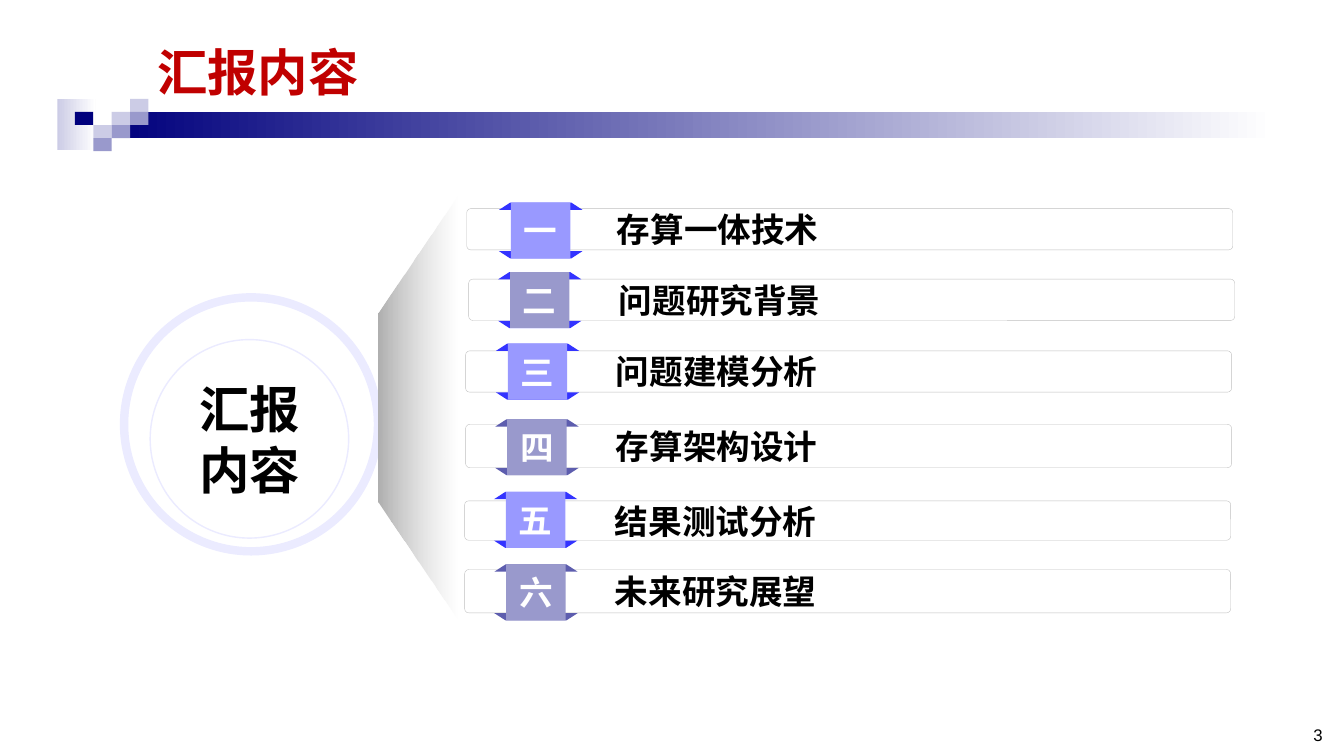
from lxml import etree
from pptx import Presentation
from pptx.dml.color import RGBColor
from pptx.enum import shapes, text
from pptx.oxml import ns
from pptx.util import Pt

SHAPE, ALIGN, ANCHOR = shapes.MSO_SHAPE, text.PP_ALIGN, text.MSO_ANCHOR
CJK = "Noto Sans CJK SC"
COLORS = {
    "navy": "00007D", "pale": "CCCCE6", "mid": "9999CC", "violet": "9999FF",
    "blue": "3333FF", "dusk": "5D5DAE", "ring": "EBEBFF", "outline": "BFBFBF",
    "gray": "B0B0B0", "light": "CFCFCF", "red": "C00000", "black": "000000",
    "white": "FFFFFF",
}
TITLE = "汇报内容"
HUB = ["汇报", "内容"]
PAGE = "3"
# number, topic, bar (left, top, height), tag (left, top), tag colour, fold colour
TOPICS = [
    ("一", "存算一体技术", (333.4, 149, 29.5), (365, 144.7), "violet", "blue"),
    ("二", "问题研究背景", (334.8, 199.4, 29.5), (364.3, 194.4), "mid", "blue"),
    ("三", "问题建模分析", (332.6, 250.6, 29.5), (362.7, 245.5), "violet", "blue"),
    ("四", "存算架构设计", (332.6, 303.1, 31), (362.3, 299.5), "mid", "dusk"),
    ("五", "结果测试分析", (331.9, 357.8, 28.1), (361.4, 351.4), "violet", "blue"),
    ("六", "未来研究展望", (331.9, 406.8, 31), (361.6, 403.2), "mid", "dusk"),
]
MOSAIC = [(2, 1, "pale"), (3, 0, "pale"), (3, 1, "mid"), (1, 2, "pale"),
          (0, 1, "navy"), (2, 2, "mid"), (1, 3, "mid")]
CELL_W, CELL_H, MOSAIC_X, MOSAIC_Y = 13.15, 9.36, 53.5, 70.6
BAR_W, TAG_W, TAG_H, FOLD_W, FOLD_H = 547.2, 42.5, 39.9, 59.6, 5.2


def rgb(name):
    return RGBColor.from_string(COLORS[name])


def add(parent, kind, box, fill=None, line=None, adj=None):
    sp = parent.add_shape(kind, *map(Pt, box))
    sp.shadow.inherit = False
    if adj is not None:
        sp.adjustments[0] = adj
    if fill:
        sp.fill.solid()
        sp.fill.fore_color.rgb = rgb(fill)
    else:
        sp.fill.background()
    if line:
        sp.line.color.rgb, sp.line.width = rgb(line[0]), Pt(line[1])
    else:
        sp.line.fill.background()
    return sp


def gradient(sp, start, end, angle):
    sp.fill.gradient()
    sp.fill.gradient_angle = angle
    for stop, name, place in zip(sp.fill.gradient_stops, (start, end), (0, 1)):
        stop.color.rgb, stop.position = rgb(name), place


def write(sp, lines, size, color, align, anchor=ANCHOR.MIDDLE, font=CJK, bold=True,
          indent=0):
    tf = sp.text_frame
    tf.word_wrap, tf.vertical_anchor = True, anchor
    for i, line in enumerate(lines):
        p = tf.add_paragraph() if i else tf.paragraphs[0]
        p.text, p.alignment = line, align
        if indent:
            p._p.get_or_add_pPr().set("marL", str(Pt(indent)))
        f = p.font
        f.size, f.bold, f.name = Pt(size), bold, font
        f.color.rgb = rgb(color)
        latin = p._p.pPr.find(".//" + ns.qn("a:latin"))
        ea = etree.Element(ns.qn("a:ea"), typeface=font)
        latin.addnext(ea)


def add_banner(sps):
    gradient(add(sps, SHAPE.RECTANGLE, (41, 70.6, 27.4, 36.7)), "pale", "white", 0)
    gradient(add(sps, SHAPE.RECTANGLE, (79.9, 79.9, 830.2, 18.7)), "navy", "white", 0)
    for col, row, color in MOSAIC:
        add(sps, SHAPE.RECTANGLE, (MOSAIC_X + col * CELL_W, MOSAIC_Y + row * CELL_H,
                                   CELL_W, CELL_H), color)
    title = sps.add_textbox(*map(Pt, (105.1, 25.9, 619.2, 51.8)))
    write(title, [TITLE], 36, "red", ALIGN.LEFT, ANCHOR.TOP)


def add_hub(sps):
    add(sps, SHAPE.OVAL, (88.6, 212.4, 181.4, 181.4), line=("ring", 6))
    hub = add(sps, SHAPE.OVAL, (107.3, 242.6, 141.8, 141.8), line=("ring", 1))
    write(hub, HUB, 36, "black", ALIGN.CENTER)
    beam = add(sps, SHAPE.TRAPEZOID, (146.9, 262.8, 303.1, 56.2), adj=1.497)
    beam.rotation = 270
    gradient(beam, "gray", "light", 270)
    clear = beam._element.spPr.findall(".//" + ns.qn("a:srgbClr"))[1]
    etree.SubElement(clear, ns.qn("a:alpha"), val="0")


def add_topic(sps, number, topic, bar, tag, color, fold_color):
    row = sps.add_group_shape().shapes
    left, top, height = bar
    sp = add(row, SHAPE.ROUNDED_RECTANGLE, (left, top, BAR_W, height),
             line=("outline", 0.25), adj=0.098)
    write(sp, [topic], 24, "black", ALIGN.LEFT, indent=99.4)
    x, y = tag
    for offset, turn in ((TAG_H - FOLD_H, 180), (0, 0)):
        fold = add(row, SHAPE.TRAPEZOID, (x - (FOLD_W - TAG_W) / 2, y + offset,
                                          FOLD_W, FOLD_H), fold_color, adj=1.546)
        fold.rotation = turn
    sp = add(row, SHAPE.RECTANGLE, (x, y, TAG_W, TAG_H), color)
    write(sp, [number], 24, "white", ALIGN.CENTER)


def main():
    """Build the agenda slide."""
    prs = Presentation()
    prs.slide_width, prs.slide_height = Pt(960), Pt(540)
    sps = prs.slides.add_slide(prs.slide_layouts[6]).shapes
    add_banner(sps)
    add_hub(sps)
    for topic in TOPICS:
        add_topic(sps, *topic)
    page = sps.add_textbox(*map(Pt, (727.9, 514.8, 223.9, 20.9)))
    write(page, [PAGE], 12, "black", ALIGN.RIGHT, ANCHOR.BOTTOM, "Arial", False)
    prs.save("out.pptx")


if __name__ == "__main__":
    main()
